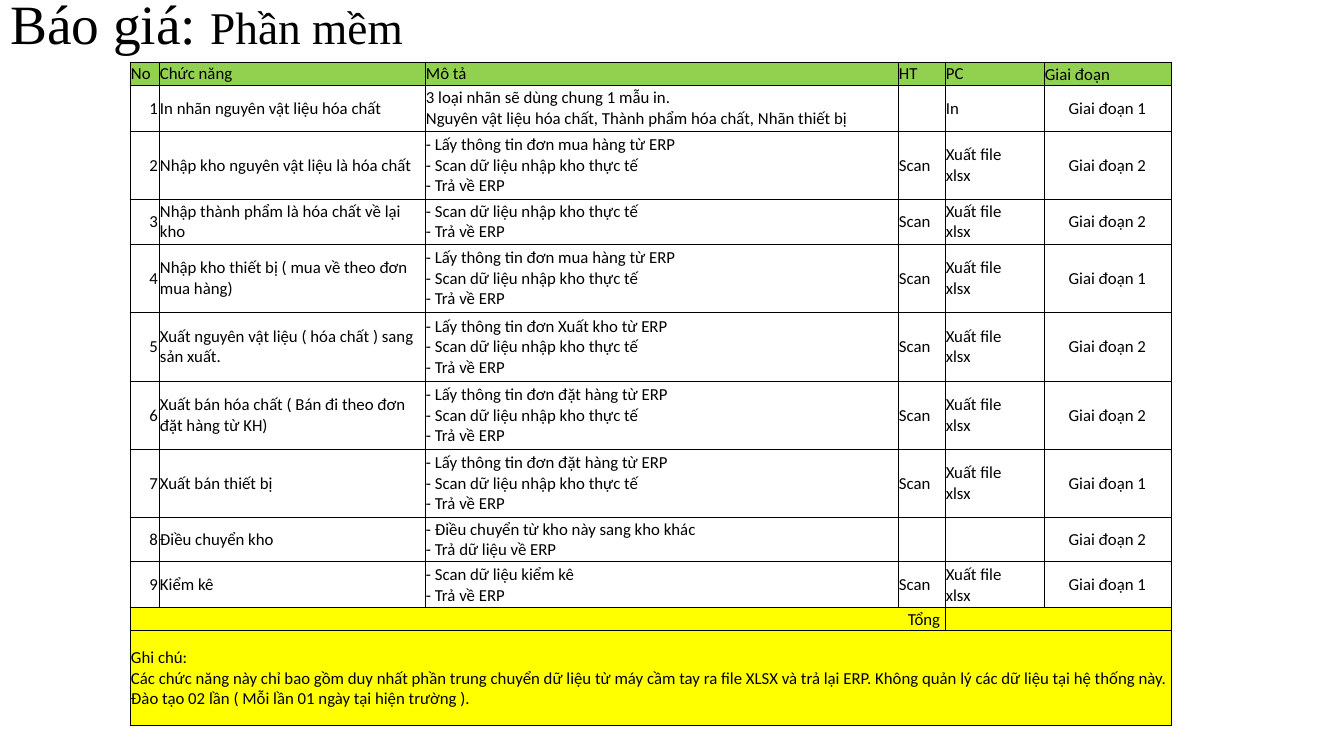
from lxml.etree import SubElement
from pptx import Presentation
from pptx.dml.color import RGBColor
from pptx.enum.text import MSO_ANCHOR as ANCHOR, PP_ALIGN as ALIGN
from pptx.oxml.ns import qn
from pptx.util import Pt

PX = 914400 / 100.8  # EMU in one px

BLACK = RGBColor(0x00, 0x00, 0x00)
WHITE = RGBColor(0xFF, 0xFF, 0xFF)
GREEN = RGBColor(0x92, 0xD0, 0x50)
YELLOW = RGBColor(0xFF, 0xFF, 0x00)
TITLE_FONT, TABLE_FONT, TABLE_SIZE = "Times New Roman", "Calibri", 12

COL_WIDTHS = [29, 266, 473, 47, 99, 127]
ROW_HEIGHTS = [23, 46, 68, 45, 68, 69, 68, 68, 45, 46, 23, 95]
HEADERS = ["No", "Chức năng", "Mô tả", "HT", "PC", "Giai đoạn"]
COL_ALIGNS = [ALIGN.RIGHT] + [ALIGN.LEFT] * 4 + [ALIGN.CENTER]

SCAN_STEP = "- Scan dữ liệu nhập kho thực tế"
RETURN_STEP = "- Trả về ERP"
EXPORT = "Xuất file\nxlsx"


def order_steps(order):
    return f"- Lấy thông tin đơn {order} từ ERP\n{SCAN_STEP} \n{RETURN_STEP}"


# Function, description, handheld, PC, phase
FEATURES = [
    ("In nhãn nguyên vật liệu hóa chất",
     "3 loại nhãn sẽ dùng chung 1 mẫu in. \n"
     "Nguyên vật liệu hóa chất, Thành phẩm hóa chất, Nhãn thiết bị", "", "In", 1),
    ("Nhập kho nguyên vật liệu là hóa chất",
     order_steps("mua hàng"), "Scan", EXPORT, 2),
    ("Nhập thành phẩm là hóa chất về lại kho",
     f"{SCAN_STEP}\n{RETURN_STEP}", "Scan", EXPORT, 2),
    ("Nhập kho thiết bị ( mua về theo đơn mua hàng)",
     order_steps("mua hàng"), "Scan", EXPORT, 1),
    ("Xuất nguyên vật liệu ( hóa chất ) sang sản xuất.",
     order_steps("Xuất kho"), "Scan", EXPORT, 2),
    ("Xuất bán hóa chất ( Bán đi theo đơn đặt hàng từ KH)",
     order_steps("đặt hàng"), "Scan", EXPORT, 2),
    ("Xuất bán thiết bị",
     order_steps("đặt hàng"), "Scan", EXPORT, 1),
    ("Điều chuyển kho",
     "- Điều chuyển từ kho này sang kho khác\n- Trả dữ liệu về ERP", "", "", 2),
    ("Kiểm kê",
     f"- Scan dữ liệu kiểm kê \n{RETURN_STEP}", "Scan", EXPORT, 1),
]
NOTE = ("Ghi chú: \n"
        "Các chức năng này chỉ bao gồm duy nhất phần trung chuyển dữ liệu từ máy "
        "cầm tay ra file XLSX và trả lại ERP. Không quản lý các dữ liệu tại hệ "
        "thống này.\n"
        "Đào tạo 02 lần ( Mỗi lần 01 ngày tại hiện trường ).")


def px(n):
    return round(n * PX)


def format_run(r, font, size):
    r.font.name, r.font.size = font, Pt(size)
    r.font.bold = False
    r.font.color.rgb = BLACK


def add_title(slide, parts):
    sp = slide.shapes.title
    sp.left, sp.top, sp.width, sp.height = px(0), px(0), px(1335), px(62)
    tf = sp.text_frame
    tf.word_wrap = True
    tf.vertical_anchor = ANCHOR.MIDDLE
    p = tf.paragraphs[0]
    p.alignment, p.line_spacing = ALIGN.LEFT, 0.7
    for text, size in parts:
        r = p.add_run()
        r.text = text
        format_run(r, TITLE_FONT, size)


def add_borders(cell):
    tcPr = cell._tc.get_or_add_tcPr()
    for side in ("a:lnL", "a:lnR", "a:lnT", "a:lnB"):
        ln = SubElement(tcPr, qn(side), w=str(Pt(0.5)))
        fill = SubElement(ln, qn("a:solidFill"))
        SubElement(fill, qn("a:srgbClr"), val=str(BLACK))


def fill_cell(cell, text, color, align=ALIGN.LEFT, anchor=ANCHOR.MIDDLE):
    add_borders(cell)
    cell.fill.solid()
    cell.fill.fore_color.rgb = color
    cell.margin_left = cell.margin_right = cell.margin_top = px(1)
    cell.margin_bottom = 0
    cell.vertical_anchor = anchor
    p = cell.text_frame.paragraphs[0]
    p.alignment = align
    size = str(TABLE_SIZE * 100)
    if text:
        p.text = text.replace("\n", "\v")
        for r in p.runs:
            format_run(r, TABLE_FONT, TABLE_SIZE)
        # Line breaks take the text size too
        for br in p._p.findall(qn("a:br")):
            SubElement(br, qn("a:rPr"), sz=size)
    # Keeps empty cells from stretching their row
    SubElement(p._p, qn("a:endParaRPr"), sz=size)


def add_quote_table(slide):
    frame = slide.shapes.add_table(len(ROW_HEIGHTS), len(COL_WIDTHS), px(130), px(62),
                                   px(sum(COL_WIDTHS)), px(sum(ROW_HEIGHTS)))
    table = frame.table
    table.first_row = table.horz_banding = False
    for col, width in zip(table.columns, COL_WIDTHS):
        col.width = px(width)
    for row, height in zip(table.rows, ROW_HEIGHTS):
        row.height = px(height)

    # Header
    for c, text in enumerate(HEADERS):
        anchor = ANCHOR.BOTTOM if text == "Giai đoạn" else ANCHOR.MIDDLE
        fill_cell(table.cell(0, c), text, GREEN, anchor=anchor)

    # Features
    for n, (*texts, phase) in enumerate(FEATURES, 1):
        values = [str(n), *texts, f"Giai đoạn {phase}"]
        for c, (text, align) in enumerate(zip(values, COL_ALIGNS)):
            fill_cell(table.cell(n, c), text, WHITE, align)

    # Total and note
    total, note = len(ROW_HEIGHTS) - 2, len(ROW_HEIGHTS) - 1
    for c in range(len(COL_WIDTHS)):
        fill_cell(table.cell(total, c), "Tổng " if c == 0 else "", YELLOW, ALIGN.RIGHT)
        fill_cell(table.cell(note, c), NOTE if c == 0 else "", YELLOW)
    for row, first, last in ((total, 0, 3), (total, 4, 5), (note, 0, 5)):
        table.cell(row, first).merge(table.cell(row, last))


def main():
    prs = Presentation()
    prs.slide_width, prs.slide_height = px(1344), px(756)
    slide = prs.slides.add_slide(prs.slide_layouts[5])
    add_title(slide, [("Báo giá: ", 39.6), ("Phần mềm", 32.4)])
    add_quote_table(slide)
    prs.save("out.pptx")


if __name__ == "__main__":
    main()
